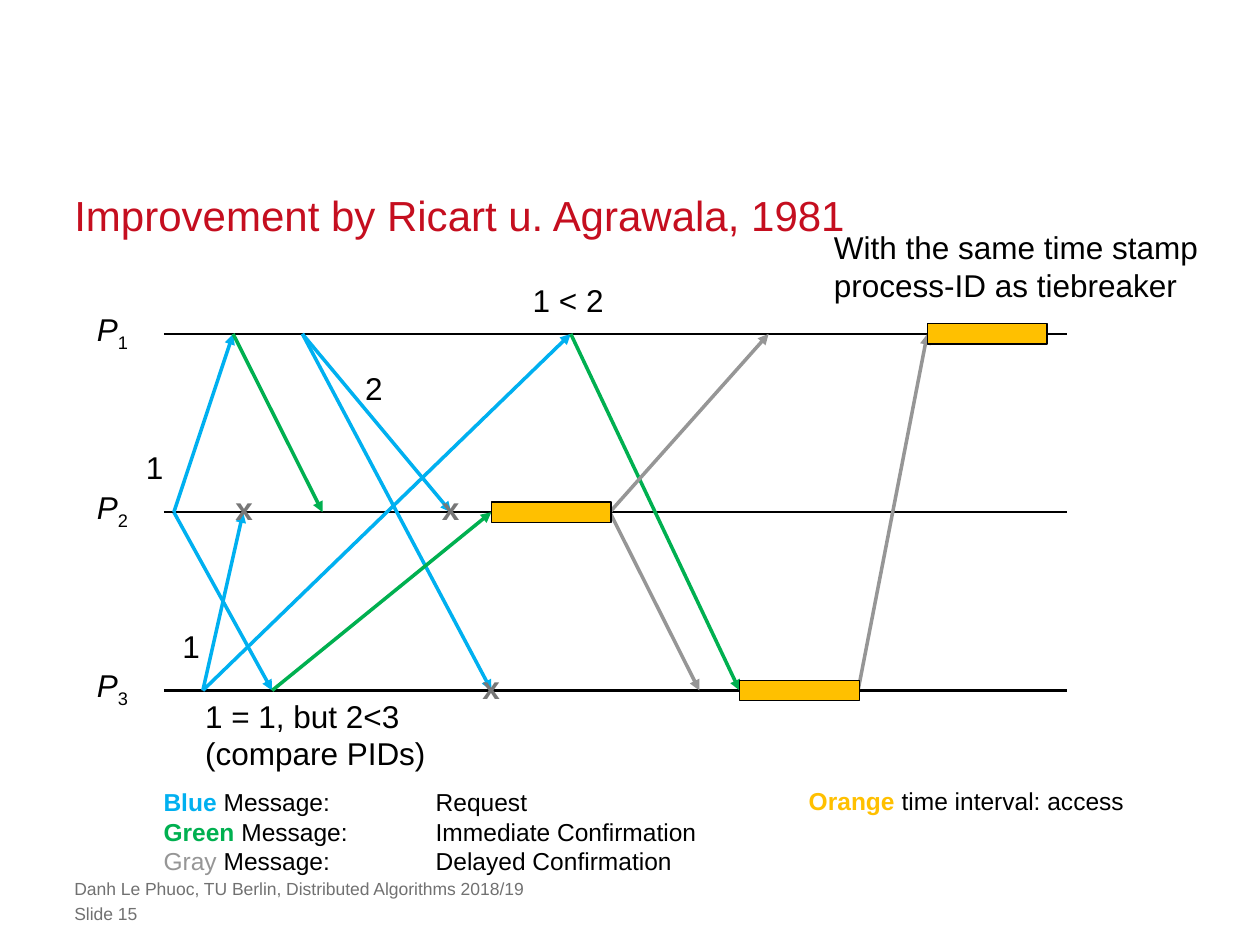
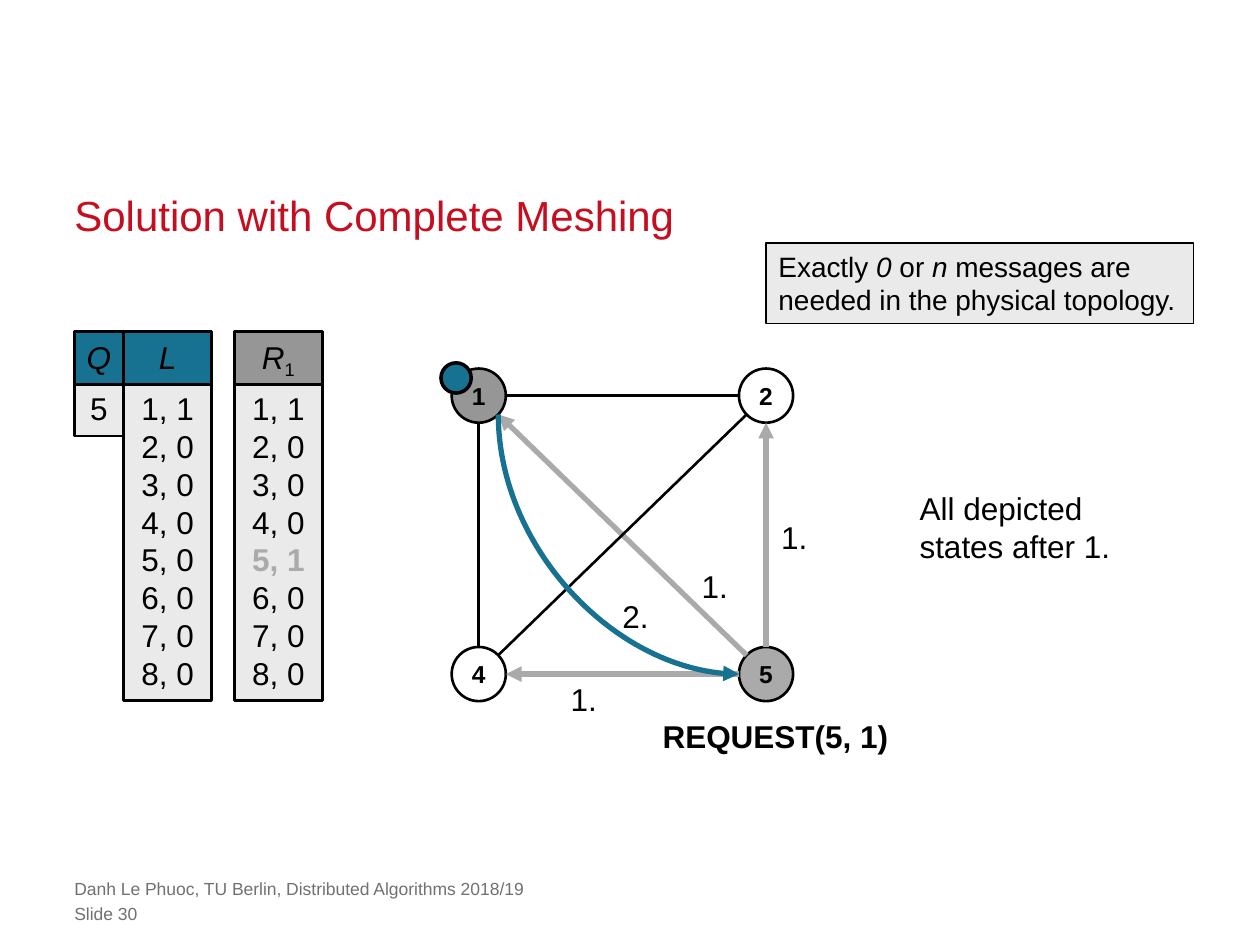
import math
from dataclasses import dataclass
from typing import Any, NamedTuple, Optional, Sequence, Union

import pptx
import pptx.dml.color
import pptx.enum.shapes
import pptx.enum.text
import pptx.oxml
import pptx.oxml.ns
import pptx.util
from lxml import etree

SHAPE = pptx.enum.shapes.MSO_SHAPE
LINK = pptx.enum.shapes.MSO_CONNECTOR
ALIGN = pptx.enum.text.PP_ALIGN
ANCHOR = pptx.enum.text.MSO_ANCHOR
qn = pptx.oxml.ns.qn


@dataclass(frozen=True)
class Theme:
    font: str = "Arial"
    black: str = "000000"
    white: str = "FFFFFF"
    red: str = "C50E1F"
    footer: str = "717171"
    cross: str = "777777"
    blue: str = "00B0F0"
    green: str = "00B050"
    gray: str = "969696"
    light_gray: str = "AAAAAA"
    orange: str = "FFC000"
    teal: str = "177191"
    panel: str = "EAEAEA"
    title_size: int = 24
    body_size: int = 18
    note_size: int = 16
    small_size: int = 14
    footer_size: int = 10


T = Theme()
COLUMNS, ROWS = 100, 75

prs = pptx.Presentation()
prs.slide_width = pptx.util.Inches(10)
prs.slide_height = pptx.util.Inches(7.5)


class Point(NamedTuple):
    col: float
    row: float


class Box(NamedTuple):
    col: float
    row: float
    cols: float
    rows: float


class Run(NamedTuple):
    text: str
    bold: Optional[bool] = None
    italic: bool = False
    color: Optional[str] = None
    sub: bool = False


Line = Union[str, Sequence[Run]]


def x(cols: float) -> int:
    return round(prs.slide_width * cols / COLUMNS)


def y(rows: float) -> int:
    return round(prs.slide_height * rows / ROWS)


def rgb(color: str) -> pptx.dml.color.RGBColor:
    return pptx.dml.color.RGBColor.from_string(color)


def emus(box: Box) -> tuple:
    return x(box.col), y(box.row), x(box.cols), y(box.rows)


def centred(center: Point, cols: float, rows: float) -> Box:
    return Box(center.col - cols / 2, center.row - rows / 2, cols, rows)


def write(tf: Any, lines: Sequence[Line], *, size: int = T.body_size,
          color: str = T.black, bold: bool = False, align: Any = ALIGN.LEFT,
          anchor: Any = ANCHOR.TOP, inset: bool = True, wrap: bool = False,
          spacing: Optional[int] = None, tab: Optional[float] = None) -> None:
    tf.word_wrap = wrap
    tf.vertical_anchor = anchor
    if not inset:
        tf.margin_left = tf.margin_right = tf.margin_top = tf.margin_bottom = 0
    for i, line in enumerate(lines):
        p = tf.paragraphs[0] if i == 0 else tf.add_paragraph()
        p.alignment = align
        if spacing:
            p.line_spacing = pptx.util.Pt(spacing)
        if tab:
            stops = etree.SubElement(p._p.get_or_add_pPr(), qn("a:tabLst"))
            etree.SubElement(stops, qn("a:tab"), pos=str(x(tab)), algn="l")
        for part in [Run(line)] if isinstance(line, str) else line:
            r = p.add_run()
            r.text = part.text
            r.font.name = T.font
            r.font.size = pptx.util.Pt(size)
            r.font.bold = bold if part.bold is None else part.bold
            r.font.italic = part.italic
            r.font.color.rgb = rgb(part.color or color)
            if part.sub:
                r._r.get_or_add_rPr().set("baseline", "-25000")


def label(s: Any, box: Box, *lines: Line, **fmt: Any) -> None:
    write(s.shapes.add_textbox(*emus(box)).text_frame, lines, **fmt)


def shape(s: Any, kind: Any, box: Box, fill: str, weight: float,
          *lines: Line, **fmt: Any) -> None:
    sp = s.shapes.add_shape(kind, *emus(box))
    sp.shadow.inherit = False
    sp.fill.solid()
    sp.fill.fore_color.rgb = rgb(fill)
    sp.line.color.rgb = rgb(T.black)
    sp.line.width = pptx.util.Pt(weight)
    if lines:
        write(sp.text_frame, lines, **fmt)


def connect(s: Any, a: Point, b: Point, color: str = T.black,
            weight: float = 1.5, arrow: bool = False,
            kind: Any = LINK.STRAIGHT) -> Any:
    sp = s.shapes.add_connector(kind, x(a.col), y(a.row), x(b.col), y(b.row))
    sp.line.color.rgb = rgb(color)
    sp.line.width = pptx.util.Pt(weight)
    if arrow:
        etree.SubElement(sp.line._get_or_add_ln(), qn("a:tailEnd"), type="triangle")
    etree.SubElement(sp._element.spPr, qn("a:effectLst"))
    return sp


def curve_down(s: Any, a: Point, b: Point, color: str, weight: float) -> None:
    mid = Point((a.col + b.col) / 2, (a.row + b.row) / 2)
    half_w, half_h = (b.row - a.row) / 2, (b.col - a.col) / 2
    sp = connect(s, Point(mid.col + half_w, mid.row - half_h),
                 Point(mid.col - half_w, mid.row + half_h),
                 color, weight, True, LINK.CURVE)
    spPr = sp._element.spPr
    spPr.find(qn("a:xfrm")).set("rot", "16200000")
    spPr.find(qn("a:prstGeom")).set("prst", "curvedConnector2")


def new_slide(title: str, number: int) -> Any:
    s = prs.slides.add_slide(prs.slide_layouts[6])
    label(s, Box(5.9, 14.8, 88.2, 4.2), title, size=T.title_size, color=T.red,
          anchor=ANCHOR.BOTTOM, inset=False, wrap=True, spacing=30)
    footer = ("Danh Le Phuoc, TU Berlin, Distributed Algorithms 2018/19",
              f"Slide {number}")
    for i, line in enumerate(footer):
        label(s, Box(5.9, 69.7 + 2 * i, 72.4, 1.7), line, size=T.footer_size,
              color=T.footer, inset=False, wrap=True)
    return s


@dataclass(frozen=True)
class Message:
    start: float
    sender: int
    end: float
    receiver: int
    color: str


def lane(process: int) -> float:
    return 26.5 + 14.15 * (process - 1)


MESSAGES = [
    Message(24, 1, 35.8, 2, T.blue),
    Message(24, 1, 39, 3, T.blue),
    Message(16.1, 3, 19.3, 2, T.blue),
    Message(16.1, 3, 45.3, 1, T.blue),
    Message(13.8, 2, 18.5, 1, T.blue),
    Message(13.8, 2, 21.6, 3, T.blue),
    Message(21.6, 3, 39, 2, T.green),
    Message(18.5, 1, 25.6, 2, T.green),
    Message(45.3, 1, 58.7, 3, T.green),
    Message(68.1, 3, 73.6, 1, T.gray),
    Message(48.4, 2, 55.5, 3, T.gray),
    Message(48.4, 2, 61, 1, T.gray),
]


def build_timeline() -> None:
    s = new_slide("Improvement by Ricart u. Agrawala, 1981", 15)
    for process in (1, 2, 3):
        row = lane(process)
        connect(s, Point(13, row), Point(84.7, row))
        label(s, Box(6.7, row - 2.4, 4.6, 4),
              [Run("P", italic=True), Run(str(process), sub=True)])
    for m in MESSAGES:
        connect(s, Point(m.start, lane(m.sender)),
                Point(m.end, lane(m.receiver)), m.color, 2, True)
    for process, col in ((2, 39), (3, 58.7), (1, 73.6)):
        shape(s, SHAPE.RECTANGLE, Box(col, lane(process) - 0.8, 9.5, 1.6),
              T.orange, 0.75)
    for process, col in ((2, 17.7), (2, 34.1), (3, 37.3)):
        label(s, Box(col, lane(process) - 2.3, 3.4, 4), "x",
              color=T.cross, bold=True)
    for text, col, row, cols in (("2", 28, 28.8, 3.4), ("1", 13.5, 49.3, 3.4),
                                 ("1", 10.6, 35.1, 3.4), ("1 < 2", 41.3, 21.8, 7.6)):
        label(s, Box(col, row, cols, 4), text)
    label(s, Box(65.2, 17.6, 31.8, 7.1),
          "With the same time stamp", "process-ID as tiebreaker")
    label(s, Box(15.3, 54.8, 26, 7.1), "1 = 1, but 2<3", "(compare PIDs)", wrap=True)
    legend = [
        [Run(name, bold, color=color), Run(f" Message:\t{meaning}")]
        for name, bold, color, meaning in (
            ("Blue", True, T.blue, "Request"),
            ("Green", True, T.green, "Immediate Confirmation"),
            ("Gray", False, T.gray, "Delayed Confirmation"))
    ]
    label(s, Box(12, 62, 44.6, 8.1), *legend, size=T.small_size, tab=21.6, wrap=True)
    label(s, Box(63.2, 61.9, 27.2, 3.4),
          [Run("Orange ", True, color=T.orange), Run("time interval: access")],
          size=T.small_size)


@dataclass(frozen=True)
class Node:
    center: Point
    fill: str


@dataclass(frozen=True)
class Edge:
    start: int
    end: int
    request: bool = False


RADIUS = 2.15
LEFT, RIGHT, TOP, BOTTOM = 38, 60.8, 31.4, 53.5
NODES = {
    1: Node(Point(LEFT, TOP), T.gray),
    2: Node(Point(RIGHT, TOP), T.white),
    4: Node(Point(LEFT, BOTTOM), T.white),
    5: Node(Point(RIGHT, BOTTOM), T.light_gray),
}
EDGES = [Edge(4, 1), Edge(1, 2), Edge(5, 1, True), Edge(5, 4, True),
         Edge(4, 2), Edge(5, 2, True)]


def rim(node: int, toward: int) -> Point:
    a, b = NODES[node].center, NODES[toward].center
    share = RADIUS / math.dist(a, b)
    return Point(a.col + (b.col - a.col) * share, a.row + (b.row - a.row) * share)


def state_column(s: Any, col: float, cols: float, head: Sequence[Run],
                 fill: str, rows: float, cells: Sequence[Line]) -> None:
    for box, color, lines in ((Box(col, 30.4, cols, rows), T.panel, cells),
                              (Box(col, 26.3, cols, 4.2), fill, [head])):
        shape(s, SHAPE.RECTANGLE, box, color, 1.5, *lines, align=ALIGN.CENTER)


def build_mesh() -> None:
    s = new_slide("Solution with Complete Meshing", 30)
    for name, node in NODES.items():
        shape(s, SHAPE.OVAL, centred(node.center, 2 * RADIUS, 2 * RADIUS),
              node.fill, 1.5, str(name), size=T.small_size, bold=True,
              align=ALIGN.CENTER, anchor=ANCHOR.MIDDLE)
    for e in EDGES:
        connect(s, rim(e.start, e.end), rim(e.end, e.start),
                T.light_gray if e.request else T.black,
                3 if e.request else 1.5, e.request)
    shape(s, SHAPE.OVAL, centred(Point(36.2, 30), 2.4, 2.4), T.teal, 2)
    curve_down(s, rim(1, 5), rim(5, 4), T.teal, 3)

    zeros = [f"{i}, 0" for i in range(2, 9)]
    queue = ["1, 1", *zeros]
    requested = [[Run("5, 1", True, color=T.light_gray)] if cell == "5, 0" else cell
                 for cell in queue]
    state_column(s, 9.8, 7, [Run("L", italic=True)], T.teal, 25.2, queue)
    state_column(s, 5.9, 3.9, [Run("Q", italic=True)], T.teal, 4.2, ["5"])
    state_column(s, 18.6, 7, [Run("R", italic=True), Run("1", sub=True)],
                 T.gray, 25.2, requested)

    for text, col, row in (("1.", 44.3, 53.5), ("1.", 54.7, 44.5),
                           ("1.", 61, 40.6), ("2.", 48.4, 46.9)):
        label(s, Box(col, row, 4.1, 4), text)
    label(s, Box(51.6, 56.4, 19.9, 4), "REQUEST(5, 1)", bold=True)
    label(s, Box(72, 38.3, 17.3, 7.1), "All depicted", "states after 1.")
    shape(s, SHAPE.RECTANGLE, Box(60.8, 19.3, 33.9, 6.4), T.panel, 0.75,
          [Run("Exactly "), Run("0", italic=True), Run(" or "),
           Run("n", italic=True), Run(" messages are")],
          "needed in the physical topology.", size=T.note_size)


build_timeline()
build_mesh()
prs.save("out.pptx")
